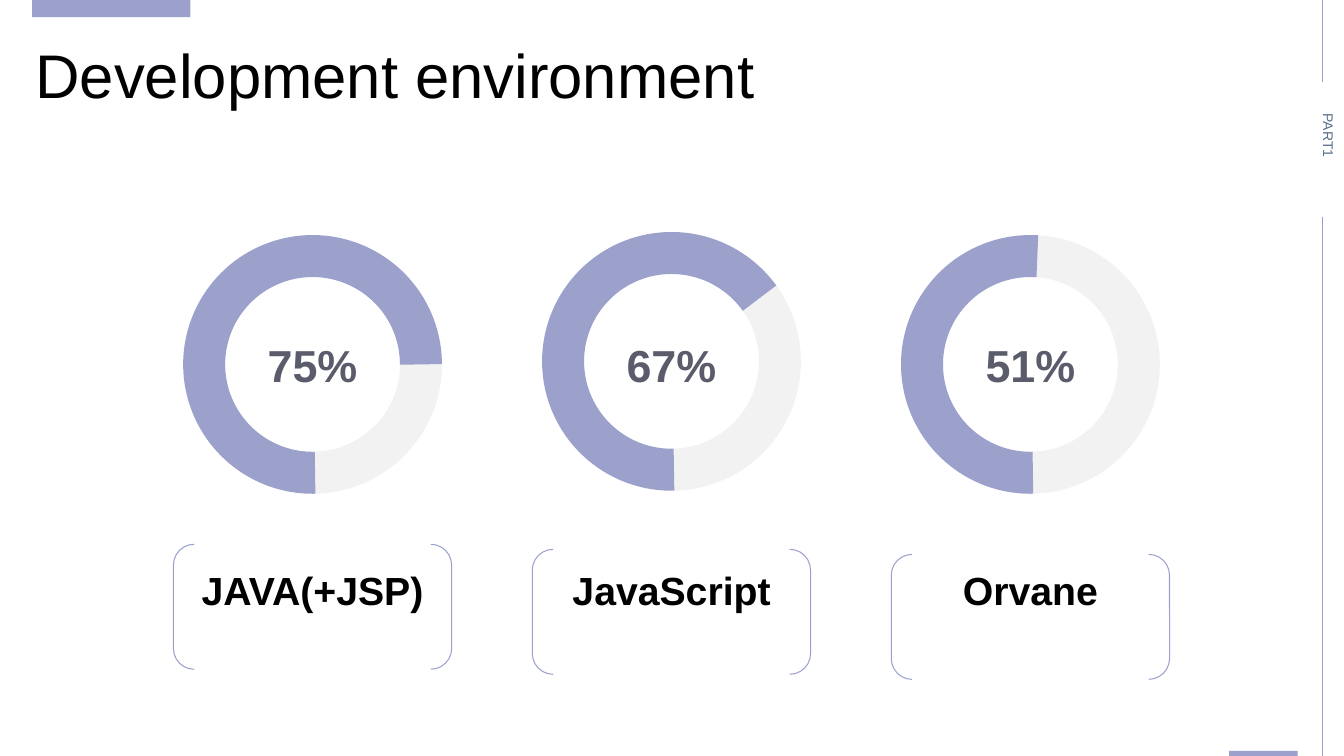
from dataclasses import dataclass

from lxml.etree import SubElement
from pptx import Presentation
from pptx.dml.color import RGBColor
from pptx.enum.shapes import MSO_CONNECTOR, MSO_SHAPE
from pptx.enum.text import MSO_ANCHOR, MSO_AUTO_SIZE, PP_ALIGN
from pptx.oxml.ns import qn
from pptx.util import Inches, Pt

# Content
TITLE = "Development environment"
SIDE_LABEL = "PART1"
# (name, name width, share label, ring top, end angle of the filled arc)
SKILLS = [
    ("JAVA(+JSP)", 2.43, "75%", 2.54, 0),
    ("JavaScript", 2.19, "67%", 2.51, 324.34),
    ("Orvane", 1.43, "51%", 2.54, 273.68),
]
ACCENT_BARS = [(0.32, 0, 1.57, 0.17), (12.19, 7.45, 0.68, 0.05)]
SIDE_LINES = [(2.15, 7.5), (0, 0.81)]


@dataclass(frozen=True)
class Theme:
    font: str = "Arial"
    accent: str = "9CA1CC"
    track: str = "F2F2F2"
    text: str = "000000"
    share: str = "5A5C6B"
    side_label: str = "5A6E8C"
    title_size: int = 44
    share_size: int = 32
    name_size: int = 28
    side_label_size: int = 10
    ring_weight: int = 30
    thin: float = 0.75


THEME = Theme()

# Layout
FIRST_CENTER, PITCH = 3.1, 3.56
RING = 2.15
ARC_START = 88.67
BRACKET_WIDTH, BRACKET_HEIGHT = 2.76, 1.24
BRACKET_TOP, BRACKET_STEP = 5.4, 0.05
SIDE_X = 13.12


def color(value):
    return RGBColor.from_string(value)


def write(shape, text, *, size, fill, bold=False, align=PP_ALIGN.LEFT, wrap=False):
    frame = shape.text_frame
    frame.auto_size = MSO_AUTO_SIZE.NONE
    frame.word_wrap = wrap
    frame.vertical_anchor = MSO_ANCHOR.TOP
    paragraph = frame.paragraphs[0]
    paragraph.text = text
    paragraph.alignment = align
    font = paragraph.runs[0].font
    font.name, font.size, font.bold = THEME.font, Pt(size), bold
    font.color.rgb = color(fill)


def add_text(slide, box, text, **style):
    shape = slide.shapes.add_textbox(*map(Inches, box))
    write(shape, text, **style)
    return shape


def add_outline(shapes, kind, box, line, weight):
    shape = shapes.add_shape(kind, *map(Inches, box))
    shape.shadow.inherit = False
    shape.fill.background()
    shape.line.color.rgb = color(line)
    shape.line.width = Pt(weight)
    return shape


def add_arc(shapes, box, start, end, line):
    arc = add_outline(shapes, MSO_SHAPE.ARC, box, line, THEME.ring_weight)
    for index, degrees in enumerate((start, end)):
        arc.adjustments[index] = degrees * 0.6  # 60000 units per degree, scaled by 100000
    return arc


def add_skill(slide, index, name, name_width, share, ring_top, ring_end):
    center = FIRST_CENTER + index * PITCH

    # Ring: the track turns a quarter and runs slightly under the filled arc
    ring_box = (center - RING / 2, ring_top, RING, RING)
    ring = slide.shapes.add_group_shape().shapes
    track = add_arc(ring, ring_box, (ring_end - 93) % 360, 359.1, THEME.track)
    track.rotation = 90
    add_arc(ring, ring_box, ARC_START, ring_end, THEME.accent)
    add_text(slide, (center - 0.55, 3.3, 1.1, 0.64), share, size=THEME.share_size,
             fill=THEME.share, bold=True, align=PP_ALIGN.CENTER)

    # Bracketed name
    bracket_box = (center - BRACKET_WIDTH / 2, BRACKET_TOP + index * BRACKET_STEP,
                   BRACKET_WIDTH, BRACKET_HEIGHT)
    add_outline(slide.shapes, MSO_SHAPE.DOUBLE_BRACKET, bracket_box, THEME.accent, THEME.thin)
    add_text(slide, (center - name_width / 2, 5.57, name_width, 0.57), name,
             size=THEME.name_size, fill=THEME.text, bold=True, align=PP_ALIGN.CENTER)


def main():
    presentation = Presentation()
    presentation.slide_width, presentation.slide_height = Inches(13.33), Inches(7.5)
    slide = presentation.slides.add_slide(presentation.slide_layouts[5])

    # Title
    title = slide.shapes.title
    title.left, title.top, title.width, title.height = map(Inches, (0.25, 0.32, 7.41, 0.84))
    write(title, TITLE, size=THEME.title_size, fill=THEME.text, wrap=True)

    # Accent bars
    for box in ACCENT_BARS:
        bar = slide.shapes.add_shape(MSO_SHAPE.RECTANGLE, *map(Inches, box))
        bar.shadow.inherit = False
        bar.fill.solid()
        bar.fill.fore_color.rgb = color(THEME.accent)
        bar.line.fill.background()

    # Side lines and label
    for top, bottom in SIDE_LINES:
        line = slide.shapes.add_connector(
            MSO_CONNECTOR.STRAIGHT, *map(Inches, (SIDE_X, top, SIDE_X, bottom)))
        line.line.color.rgb = color(THEME.accent)
        line.line.width = Pt(THEME.thin)
        SubElement(line._element.spPr, qn("a:effectLst"))
    side_label = add_text(slide, (12.64, 1.33, 0.97, 0.37), SIDE_LABEL,
                          size=THEME.side_label_size, fill=THEME.side_label, wrap=True)
    side_label.rotation = 90

    # Skills
    for index, skill in enumerate(SKILLS):
        add_skill(slide, index, *skill)

    presentation.save("out.pptx")


if __name__ == "__main__":
    main()
